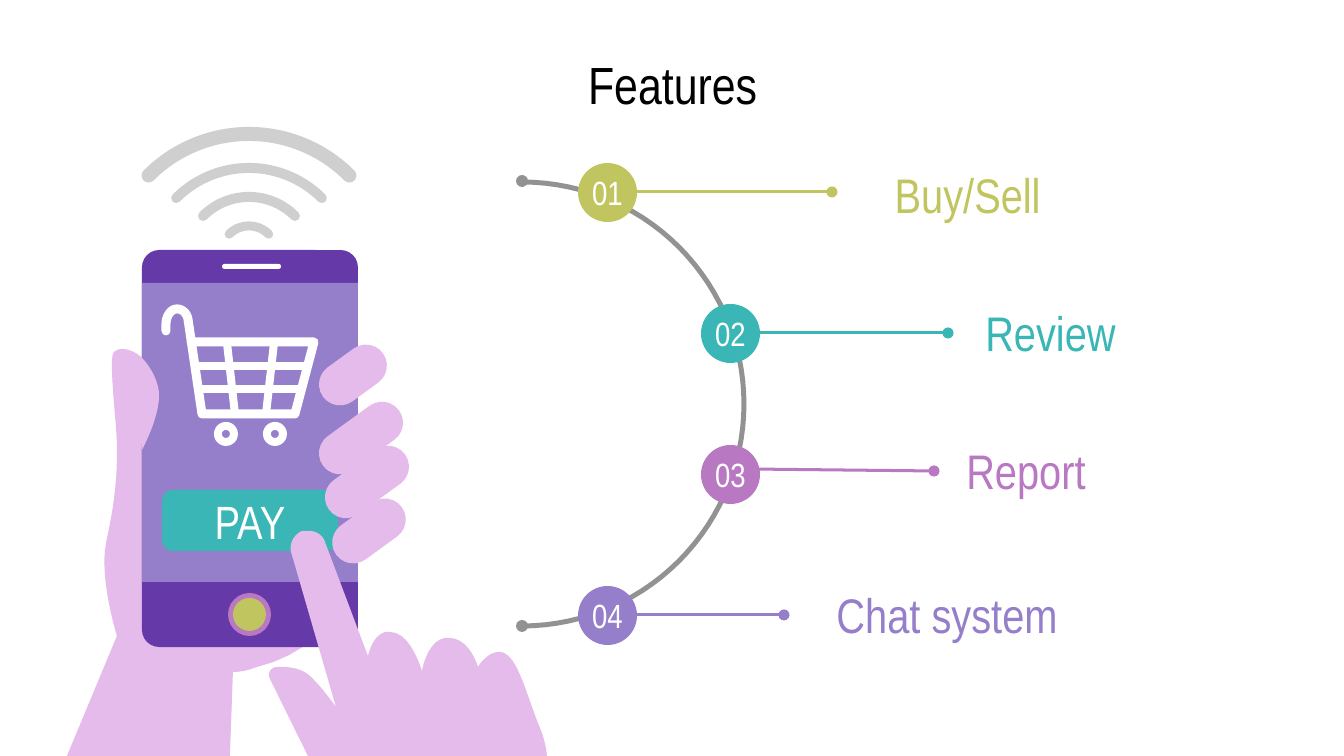
from math import cos, radians, sin

from lxml import etree
from pptx import Presentation
from pptx.dml.color import RGBColor
from pptx.enum.shapes import MSO_CONNECTOR, MSO_SHAPE
from pptx.enum.text import MSO_ANCHOR, MSO_AUTO_SIZE, PP_ALIGN
from pptx.oxml.ns import qn
from pptx.util import Pt

PX = 914400 / 134.4
FONT = "Arial Narrow"
OVAL, RECT = MSO_SHAPE.OVAL, MSO_SHAPE.RECTANGLE
ROUND, RING = MSO_SHAPE.ROUNDED_RECTANGLE, MSO_SHAPE.DONUT
STRAIGHT = MSO_CONNECTOR.STRAIGHT
CENTER, RIGHT = PP_ALIGN.CENTER, PP_ALIGN.RIGHT
MIDDLE, NOFIT = MSO_ANCHOR.MIDDLE, MSO_AUTO_SIZE.NONE

COLORS = {
    "black": "000000", "white": "FFFFFF", "gray": "929292",
    "signal": "CFCFCF", "skin": "E5BBEB", "case": "6639A8",
    "lilac": "957FCA", "teal": "39B6B5", "olive": "C0C55F",
    "mauve": "B878C2",
}

# label, color, circle left, line start, line end, label box
FEATURES = [
    ("Buy/Sell", "olive", 578, (628, 192), (832, 192), (866, 163, 188, 63)),
    ("Review", "teal", 701, (731, 333), (948, 333), (953, 301, 176, 63)),
    ("Report", "mauve", 701, (746, 469), (934, 471), (934, 439, 165, 63)),
    ("Chat system", "lilac", 578, (628, 615), (784, 615), (821, 583, 250, 63)),
]

# Outlines: a start point, then (x, y) for a line
# or (x1, y1, x2, y2, x, y) for a curve
PALM = [
    (122, 349), (118, 349, 116, 351, 114, 352), (108, 357, 117, 425, 117, 446),
    (118, 496, 108, 531, 106, 544), (102, 564, 106, 599, 117, 636),
    (67, 756), (230, 756), (233, 672), (239, 672, 247, 671, 254, 668),
    (324, 651, 336, 606, 336, 606), (336, 606, 185, 482, 169, 414),
    (157, 362, 136, 349, 122, 349),
]
THUMB = [
    (140, 356), (136, 394), (142, 450), (142, 450, 161, 415, 159, 392),
    (156, 370, 140, 356, 140, 356),
]
POINTER = [
    (309, 531), (307, 531, 305, 531, 302, 531), (293, 535, 288, 546, 292, 555),
    (336, 707), (328, 696, 320, 686, 313, 679), (304, 669, 292, 667, 281, 667),
    (278, 667), (271, 667, 267, 673, 270, 679), (278, 695, 293, 726, 308, 756),
    (547, 756), (546, 745, 543, 735, 540, 728), (528, 700, 519, 659, 504, 653),
    (501, 652, 500, 652, 499, 652), (487, 652, 478, 667, 478, 667),
    (478, 667, 470, 638, 449, 638), (445, 638),
    (427, 641, 422, 671, 422, 671), (422, 671, 411, 632, 390, 632),
    (386, 632), (376, 634, 371, 645, 368, 656), (325, 542),
    (323, 535, 316, 531, 309, 531),
]
BASKET = [
    (166, 331), (166, 324), (166, 316, 171, 309, 177, 309),
    (183, 309, 187, 314, 188, 319), (202, 414), (295, 414), (314, 342),
    (191, 342),
]


def emu(*lengths):
    return [round(n * PX) for n in lengths]


def color(name):
    return RGBColor.from_string(COLORS[name])


def write(shape, text, size, tone, align=CENTER, inset=13, wrap=True):
    frame = shape.text_frame
    frame.text = text
    frame.auto_size = NOFIT
    frame.word_wrap = wrap
    frame.vertical_anchor = MIDDLE
    pad = emu(inset)[0]
    frame.margin_left = frame.margin_right = pad
    frame.margin_top = frame.margin_bottom = pad
    para = frame.paragraphs[0]
    para.alignment = align
    font = para.runs[0].font
    font.name, font.size = FONT, Pt(size)
    font.color.rgb = color(tone)


def paint(shape, tone):
    shape.shadow.inherit = False
    shape.fill.solid()
    shape.fill.fore_color.rgb = color(tone)
    shape.line.fill.background()


def stroke(shape, tone, width):
    """Give the shape a line with round ends; return its XML."""
    shape.line.color.rgb = color(tone)
    shape.line.width = emu(width)[0]
    line = shape.line._get_or_add_ln()
    line.set("cap", "rnd")
    etree.SubElement(line, qn("a:round"))
    return line


def add_form(slide, kind, box, tone, adjust=None):
    shape = slide.shapes.add_shape(kind, *emu(*box))
    paint(shape, tone)
    if adjust is not None:
        shape.adjustments[0] = adjust
    return shape


def add_line(slide, start, end, tone, width, dot=False):
    line = slide.shapes.add_connector(STRAIGHT, *emu(*start, *end))
    node = stroke(line, tone, width)
    if dot:
        etree.SubElement(node, qn("a:tailEnd"), type="oval")
    etree.SubElement(line._element.spPr, qn("a:effectLst"))


def trace(path, steps=10):
    """Turn lines and cubic curves into a list of points."""
    points = [path[0]]
    for part in path[1:]:
        if len(part) == 2:
            points.append(part)
            continue
        ends = [points[-1], part[:2], part[2:4], part[4:]]
        for i in range(1, steps + 1):
            t = i / steps
            u = 1 - t
            rate = (u ** 3, 3 * u * u * t, 3 * u * t * t, t ** 3)
            points.append(tuple(
                sum(r * p[k] for r, p in zip(rate, ends)) for k in (0, 1)))
    return points


def add_path(slide, points, tone, width=None):
    """Draw a filled outline, or an open stroke if a width is given."""
    dots = [emu(*p) for p in points]
    form = slide.shapes.build_freeform(*dots[0])
    form.add_line_segments(dots[1:], close=width is None)
    shape = form.convert_to_shape()
    paint(shape, tone)
    if width:
        shape.fill.background()
        stroke(shape, tone, width)


def add_arc(slide, x, y, radius, first, last, tone, width):
    points = [(x + radius * cos(radians(a)), y + radius * sin(radians(a)))
              for a in range(first, last + 1, 3)]
    add_path(slide, points, tone, width)


def add_steps(slide):
    add_arc(slide, 522, 404, 222, -90, 90, "gray", 5)
    for y in (175, 620):
        add_form(slide, OVAL, (516, y, 12, 12), "gray")
    for i, (label, tone, left, start, end, box) in enumerate(FEATURES):
        add_line(slide, start, end, tone, 3, dot=True)
        disc = add_form(slide, OVAL, (left, 163 + 141 * i, 59, 59), tone)
        write(disc, f"{i + 1:02}", 18, "white", inset=0, wrap=False)
        note = slide.shapes.add_textbox(*emu(*box))
        write(note, label, 26, tone, RIGHT)


def add_cart(slide):
    add_path(slide, trace(BASKET), "white", 9)
    for start, end in [((227, 343), (235, 414)), ((274, 343), (266, 414)),
                       ((199, 366), (304, 366)), ((202, 389), (301, 389))]:
        add_line(slide, start, end, "white", 8)
    for x in (214, 263):
        add_form(slide, RING, (x, 422, 24, 24), "white", 0.33)


def add_phone(slide):
    add_form(slide, ROUND, (142, 250, 216, 397), "case", 0.08)
    add_form(slide, RECT, (142, 283, 216, 299), "lilac")
    add_cart(slide)
    pay = add_form(slide, ROUND, (162, 490, 176, 61), "teal", 0.18)
    write(pay, "PAY", 25, "white", inset=0)
    add_form(slide, ROUND, (222, 264, 59, 5), "white", 0.5)
    add_form(slide, OVAL, (228, 593, 43, 43), "mauve")
    add_form(slide, OVAL, (233, 598, 33, 33), "olive")
    for radius, top, width in [(28, 226, 9), (65, 197, 10),
                               (103, 168, 10), (142, 134, 14)]:
        add_arc(slide, 249, top + radius, radius, -135, -45, "signal", width)


def add_hand(slide):
    for x, y, length in [(361, 438, 94), (367, 482, 94),
                         (369, 531, 81), (353, 375, 74)]:
        box = (x - length / 2, y - 21, length, 42)
        add_form(slide, ROUND, box, "skin", 0.5).rotation = -36
    for path in (THUMB, POINTER):
        add_path(slide, trace(path), "skin")


def main():
    deck = Presentation()
    deck.slide_width, deck.slide_height = emu(1344, 756)
    slide = deck.slides.add_slide(deck.slide_layouts[5])
    title = slide.shapes.title
    title.left, title.top, title.width, title.height = emu(370, 60, 605, 47)
    write(title, "Features", 28, "black")
    add_steps(slide)
    add_path(slide, trace(PALM), "skin")
    add_phone(slide)
    add_hand(slide)
    deck.save("out.pptx")


if __name__ == "__main__":
    main()
